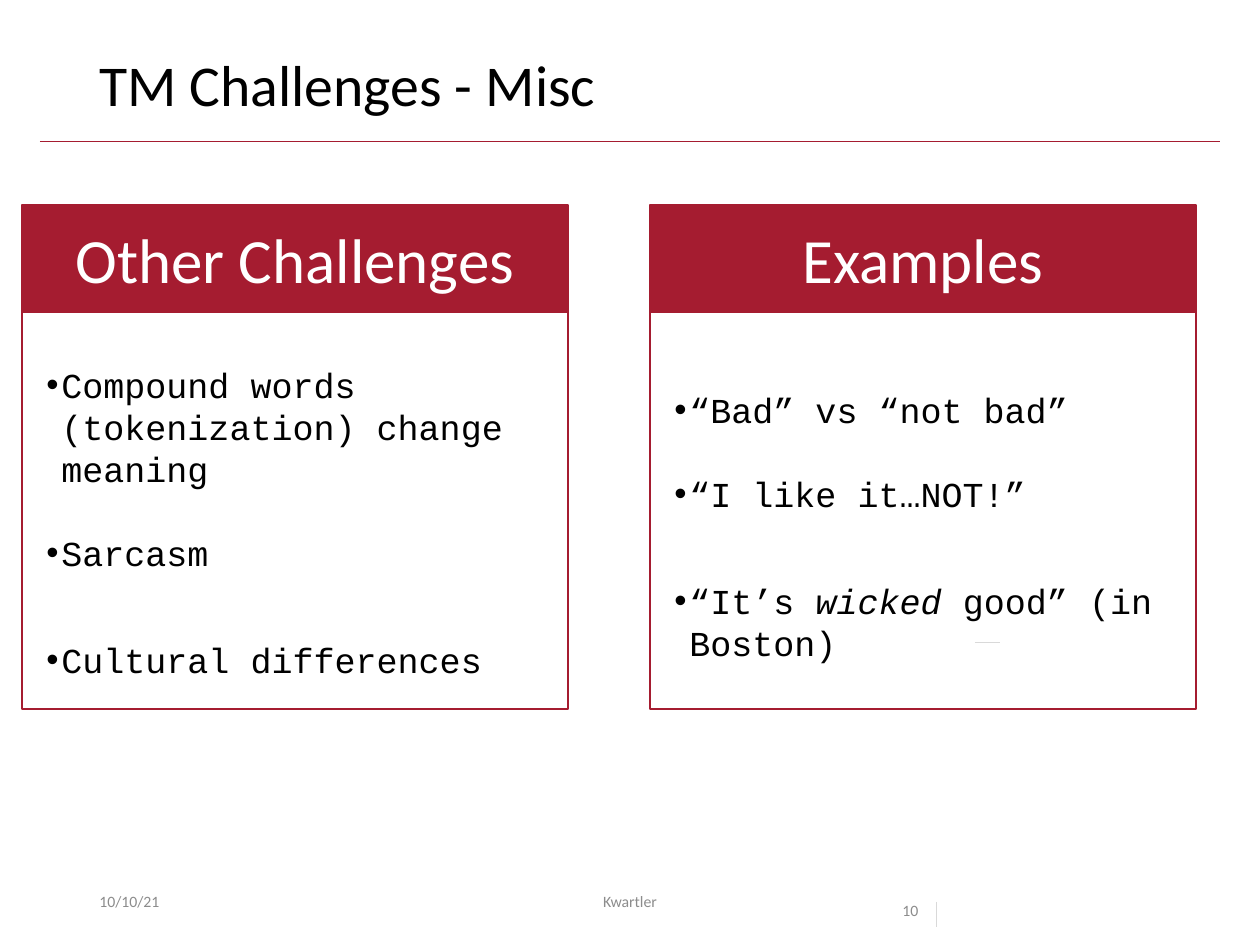
from lxml import etree
from pptx import Presentation
from pptx.dml.color import RGBColor
from pptx.enum.shapes import MSO_CONNECTOR, MSO_SHAPE
from pptx.enum.text import MSO_ANCHOR, PP_ALIGN
from pptx.oxml.ns import qn
from pptx.util import Pt

EMU_PER_INCH = 914400
PX_PER_INCH = 126
COLORS = {
    "crimson": "A51C30",
    "white": "FFFFFF",
    "black": "000000",
    "gray": "8C8C8C",
    "pale": "D9D9D9",
}
PANEL_TOP, PANEL_WIDTH = 205, 546
PANELS = [
    (22, "Other Challenges", 357, 291, [
        ["Compound words (tokenization) change meaning"],
        ["Sarcasm"],
        ["Cultural differences"],
    ]),
    (650, "Examples", 382, 248, [
        ["“Bad” vs “not bad”"],
        ["“I like it…NOT!”"],
        ["“It’s ", ("wicked", True), " good” (in Boston)"],
    ]),
]
BULLET_GAPS = [0, 24, 37.2]


def px(value):
    return round(value * EMU_PER_INCH / PX_PER_INCH)


def color(name):
    return RGBColor.from_string(COLORS[name])


def write_run(paragraph, text, size, font="Calibri", fill="black", italic=False):
    run = paragraph.add_run()
    run.text = text
    run.font.size = Pt(size)
    run.font.name = font
    run.font.italic = italic
    run.font.color.rgb = color(fill)


def write_text(shape, text, size=9, fill="gray", align=PP_ALIGN.LEFT,
               anchor=MSO_ANCHOR.MIDDLE, line_spacing=None):
    frame = shape.text_frame
    frame.word_wrap = True
    frame.vertical_anchor = anchor
    paragraph = frame.paragraphs[0]
    paragraph.alignment = align
    paragraph.line_spacing = line_spacing
    write_run(paragraph, text, size, fill=fill)


def add_text(slide, box, text, **style):
    shape = slide.shapes.add_textbox(*map(px, box))
    write_text(shape, text, **style)


def add_rectangle(slide, box, fill=None):
    shape = slide.shapes.add_shape(MSO_SHAPE.RECTANGLE, *map(px, box))
    shape.shadow.inherit = False
    if fill:
        shape.fill.solid()
        shape.fill.fore_color.rgb = color(fill)
    else:
        shape.fill.background()
    shape.line.color.rgb = color("crimson")
    shape.line.width = Pt(1)
    return shape


def add_line(slide, points, line_color):
    line = slide.shapes.add_connector(MSO_CONNECTOR.STRAIGHT, *map(px, points))
    line.line.color.rgb = color(line_color)
    line.line.width = Pt(0.5)
    etree.SubElement(line._element.spPr, qn("a:effectLst"))


def set_bullet(paragraph):
    properties = paragraph._p.get_or_add_pPr()
    properties.set("marL", str(px(15)))
    properties.set("indent", str(-px(15)))
    etree.SubElement(properties, qn("a:buFont")).set("typeface", "Arial")
    etree.SubElement(properties, qn("a:buChar")).set("char", "•")


def add_bullets(slide, box, items):
    frame = slide.shapes.add_textbox(*map(px, box)).text_frame
    frame.word_wrap = True
    for index, (item, gap) in enumerate(zip(items, BULLET_GAPS)):
        paragraph = frame.add_paragraph() if index else frame.paragraphs[0]
        paragraph.line_spacing = Pt(24)
        paragraph.space_before = Pt(gap)
        set_bullet(paragraph)
        for part in item:
            text, italic = (part, False) if isinstance(part, str) else part
            write_run(paragraph, text, 20, font="Courier New", italic=italic)


def add_panel(slide, left, heading, list_top, list_height, items):
    add_bullets(slide, (left + 12, list_top, 523, list_height), items)
    header = add_rectangle(slide, (left, PANEL_TOP, PANEL_WIDTH, 107), "crimson")
    write_text(header, heading, size=36, fill="white", align=PP_ALIGN.CENTER)
    add_rectangle(slide, (left, 224, PANEL_WIDTH, 485))


def main():
    presentation = Presentation()
    presentation.slide_width = px(1260)
    presentation.slide_height = px(945)
    slide = presentation.slides.add_slide(presentation.slide_layouts[6])

    add_line(slide, (40, 141, 1220, 141), "crimson")
    add_text(slide, (87, 50, 1086, 82), "TM Challenges - Misc", size=33,
             fill="black", anchor=MSO_ANCHOR.TOP, line_spacing=0.9)
    for panel in PANELS:
        add_panel(slide, *panel)

    add_line(slide, (936, 902, 936, 927), "pale")
    add_line(slide, (975, 642, 1000, 642), "pale")
    add_text(slide, (87, 876, 284, 50), "10/10/21")
    add_text(slide, (417, 876, 426, 50), "Kwartler", align=PP_ALIGN.CENTER)
    add_text(slide, (890, 876, 118, 50), "10", anchor=MSO_ANCHOR.TOP, line_spacing=2)
    presentation.save("out.pptx")


if __name__ == "__main__":
    main()
